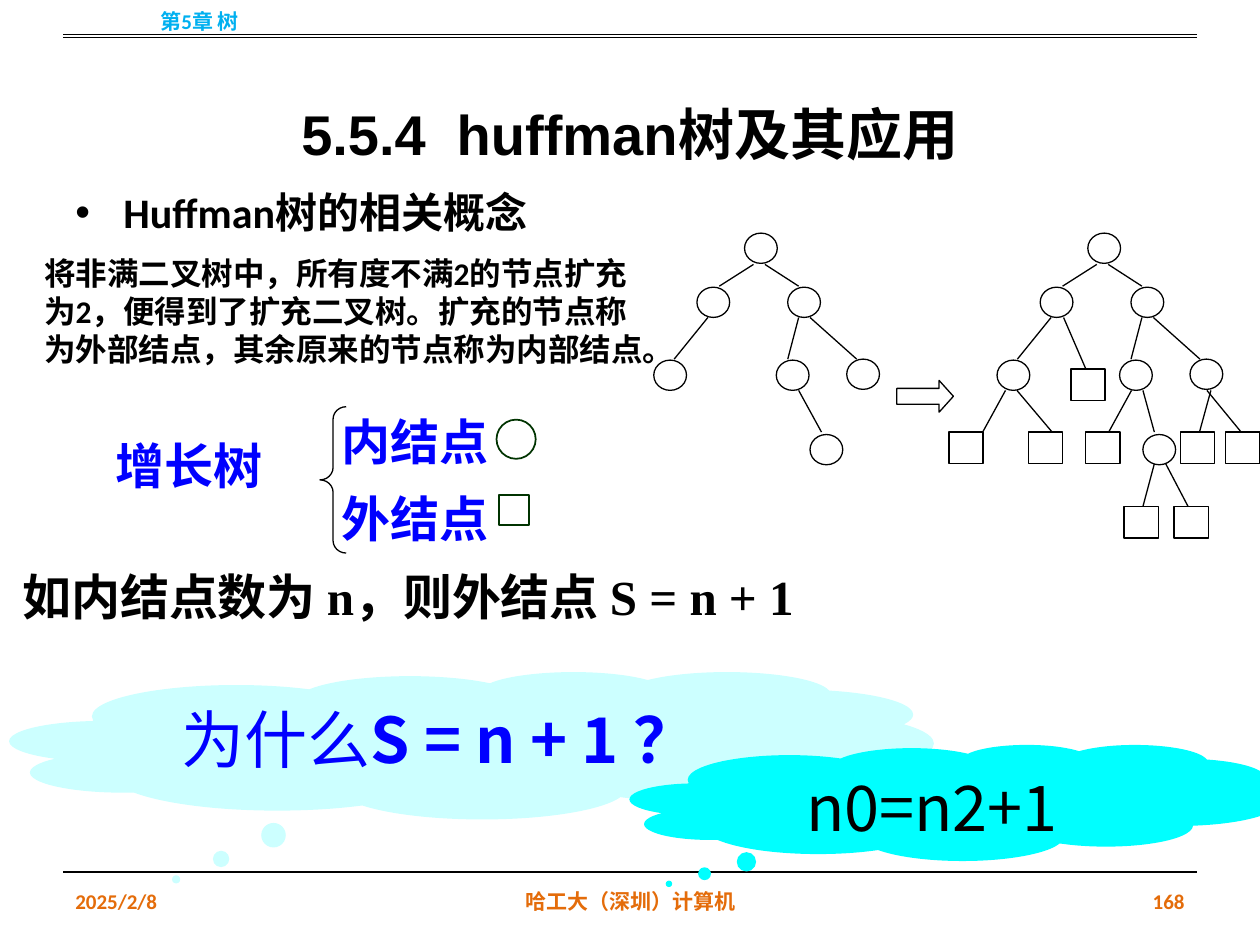
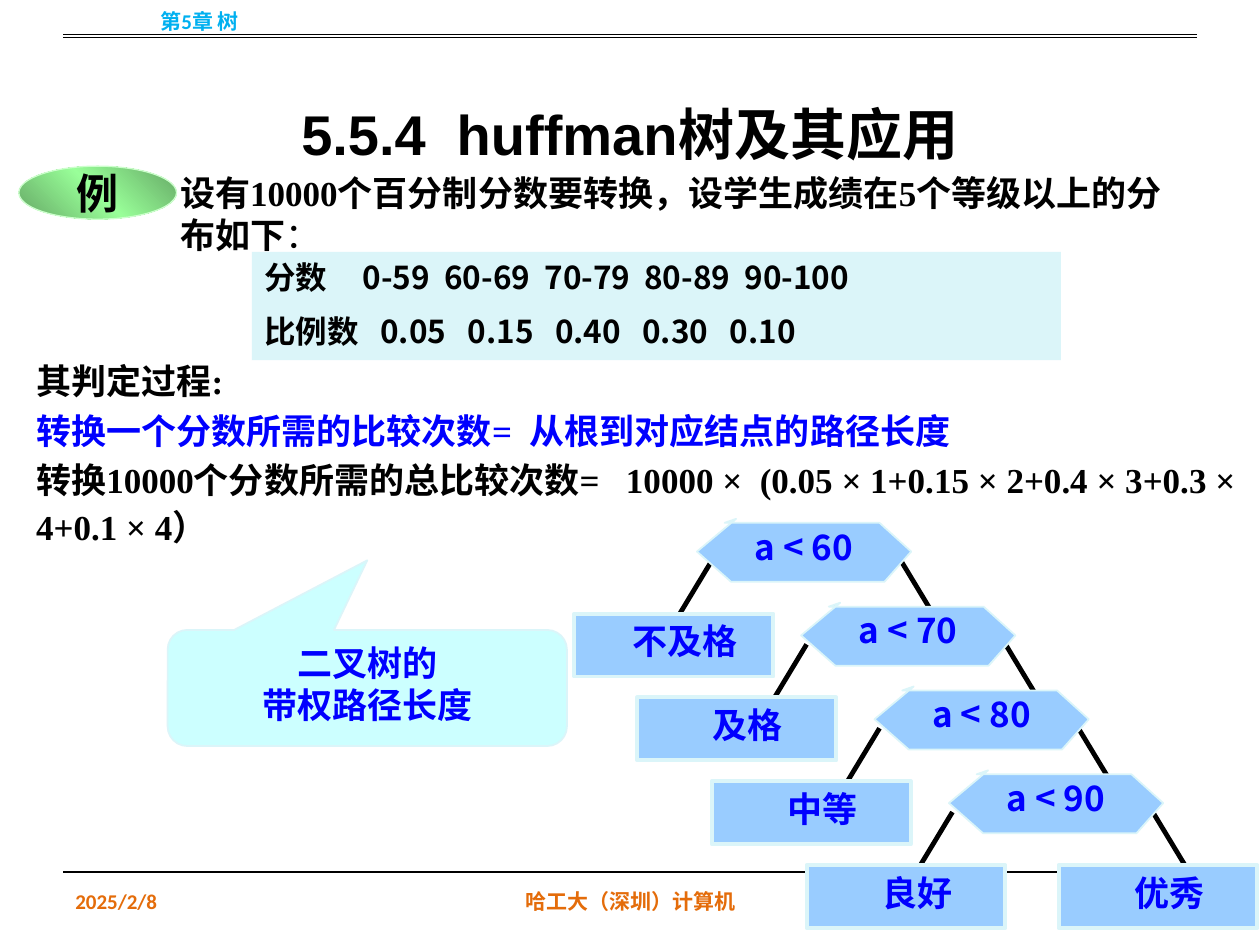
from copy import deepcopy
from lxml.etree import SubElement
from pptx import Presentation
from pptx.dml.color import RGBColor
from pptx.enum.shapes import MSO_CONNECTOR, MSO_SHAPE
from pptx.enum.text import MSO_ANCHOR, PP_ALIGN
from pptx.oxml.ns import qn
from pptx.util import Cm, Pt

C = {
    "black": "000000", "blue": "0000FF", "orange": "E46C0A", "sky": "00B0F0",
    "pale": "CCFFFF", "cyan": "00FFFF", "mist": "DBF5F9", "node": "99CCFF",
    "forest": "003300", "mint": "CCFFCC", "moss": "65A865", "lime": "99FF99",
}
CJK, TIMES, CALIBRI = "Noto Sans CJK SC", "Times New Roman", "Calibri"
LEFT, CENTER, RIGHT = PP_ALIGN.LEFT, PP_ALIGN.CENTER, PP_ALIGN.RIGHT
TOP, MIDDLE = MSO_ANCHOR.TOP, MSO_ANCHOR.MIDDLE


def dress(sp, fill=None, line=None, width=0.75, anchor=TOP):
    sp.shadow.inherit = False
    if fill:
        sp.fill.solid()
        sp.fill.fore_color.rgb = RGBColor.from_string(C[fill])
    else:
        sp.fill.background()
    if line:
        sp.line.color.rgb = RGBColor.from_string(C[line])
        sp.line.width = Pt(width)
    else:
        sp.line.fill.background()
    sp.text_frame.word_wrap = True
    sp.text_frame.vertical_anchor = anchor
    return sp


def para(sp, runs, size, font, color="black", align=LEFT, spacing=1.2, before=0):
    tf = sp.text_frame
    p = tf.add_paragraph() if tf.text else tf.paragraphs[0]
    p.alignment = align
    p.line_spacing = Pt(size * spacing)
    p.space_before = Pt(before)
    for text, bold in runs:
        r = p.add_run()
        r.text = text
        r.font.size = Pt(size)
        r.font.name = font
        r.font.bold = bold
        r.font.color.rgb = RGBColor.from_string(C[color])
        SubElement(r.font._element, qn("a:ea")).set("typeface", CJK)
    return p


prs = Presentation()
prs.slide_width, prs.slide_height = Cm(25.4), Cm(19.05)

rules = [(1.27, y, 24.13, y) for y in (0.69, 0.76, 17.58)]

shift = 6.92
tree_nodes = [(15.01, 4.7), (14.05, 5.79), (15.88, 5.79),
              (13.18, 7.26), (15.65, 7.26), (17.07, 7.24)]
tree_edges = [(15.19, 5.33, 14.5, 5.77), (15.42, 5.33, 16.1, 5.77),
              (14.27, 6.4, 13.59, 7.24), (16.1, 6.4, 15.88, 7.24),
              (16.33, 6.4, 17.27, 7.24)]
inner_nodes = tree_nodes + [(x + shift, y) for x, y in tree_nodes]
inner_nodes += [(16.33, 8.76), (23.04, 8.76)]
outer_nodes = [(x, 8.71) for x in (19.13, 20.73, 21.89, 23.8, 24.71)]
outer_nodes += [(21.59, 7.44), (22.66, 10.21), (23.67, 10.21)]
extended_edges = tree_edges + [(a + shift, b, c + shift, d) for a, b, c, d in tree_edges]
extended_edges += [(16.1, 7.87, 16.56, 8.71), (21.44, 6.4, 21.89, 7.44)]
extended_edges += [(a, 7.87, b, 8.71) for a, b in (
    (20.27, 19.81), (20.5, 21.21), (23.04, 23.27),
    (22.81, 22.35), (24.41, 24.18), (24.33, 25.02))]
extended_edges += [(23.27, 9.35, 23.04, 10.21), (23.5, 9.35, 23.95, 10.21)]

step = 1.69
tests = [("a < 60", 14.05), ("a < 70", 16.15), ("a < 80", 17.63), ("a < 90", 19.13)]
grades = [("不及格", 11.58, 0), ("及格", 12.85, 1), ("中等", 14.35, 2),
          ("良好", 16.26, 3), ("优秀", 21.34, 3)]
decision_edges = []
for i, (left, right) in enumerate([(14.35, 18.16), (16.26, 20.27),
                                   (17.73, 21.74), (19.2, 23.24)]):
    y = 11.3 + step * i
    decision_edges += [(left, y, left - 0.64, y + 1.06), (right, y, right + 0.64, y + 1.06)]

slides = []
for number, edges, width in [("168", extended_edges, 0.75), ("187", decision_edges, 2.75)]:
    s = prs.slides.add_slide(prs.slide_layouts[6])
    slides.append(s)
    for text, box, size, font, color, align, spacing in [
        ("5.5.4  huffman树及其应用", (1.27, 0.76, 22.86, 3.18), 32, "Arial", "black", CENTER, 1.8),
        ("2025/2/8", (1.27, 17.65, 5.92, 1.02), 12, CALIBRI, "orange", LEFT, 1.2),
        ("哈工大（深圳）计算机", (8.69, 17.65, 8.05, 1.02), 12, CALIBRI, "orange", CENTER, 1.2),
        (number, (18.21, 17.65, 5.92, 1.02), 12, CALIBRI, "orange", RIGHT, 1.2),
        ("第5章 树", (0, -0.08, 8.05, 1.02), 12, CALIBRI, "sky", CENTER, 1.2),
    ]:
        sp = dress(s.shapes.add_textbox(*map(Cm, box)), anchor=MIDDLE)
        para(sp, [(text, True)], size, font, color, align, spacing)
    for group, weight in [(rules, 0.75), (edges, width)]:
        for ends in group:
            cxn = s.shapes.add_connector(MSO_CONNECTOR.STRAIGHT, *map(Cm, ends))
            cxn.line.color.rgb = RGBColor.from_string(C["black"])
            cxn.line.width = Pt(weight)
            SubElement(cxn._element.spPr, qn("a:effectLst"))

s = slides[0]
sp = dress(s.shapes.add_textbox(Cm(1.27), Cm(3.38), Cm(22.86), Cm(1.6)))
p = para(sp, [("Huffman树的相关概念", True)], 24, CALIBRI, spacing=1.5)
pPr = p._p.get_or_add_pPr()
pPr.set("marL", str(Cm(0.97)))
pPr.set("indent", str(-Cm(0.97)))
SubElement(pPr, qn("a:buFont")).set("typeface", "Arial")
SubElement(pPr, qn("a:buChar")).set("char", "•")

for kind, spots, w, h in [(MSO_SHAPE.OVAL, inner_nodes, 0.66, 0.61),
                          (MSO_SHAPE.RECTANGLE, outer_nodes, 0.69, 0.64)]:
    for x, y in spots:
        dress(s.shapes.add_shape(kind, Cm(x), Cm(y), Cm(w), Cm(h)), line="black")

for kind, box, adjustments, line, width in [
    (MSO_SHAPE.RIGHT_ARROW, (18.08, 7.67, 1.14, 0.64), (0.5, 0.45), "black", 0.75),
    (MSO_SHAPE.LEFT_BRACE, (6.45, 8.2, 0.53, 2.95), (0.47, 0.5), "black", 0.75),
    (MSO_SHAPE.RECTANGLE, (10.06, 9.98, 0.61, 0.61), (), "forest", 1),
    (MSO_SHAPE.OVAL, (10.01, 8.46, 0.79, 0.79), (), "forest", 1),
]:
    sp = dress(s.shapes.add_shape(kind, *map(Cm, box)), line=line, width=width)
    for i, value in enumerate(adjustments):
        sp.adjustments[i] = value

for texts, box, size, font, color, spacing in [
    (["增长树"], (2.08, 8.66, 3.6, 1.45), 28, TIMES, "blue", 1.2),
    (["内结点", "外结点"], (6.63, 7.82, 3.6, 3.35), 28, TIMES, "blue", 1.56),
    (["如内结点数为 n，则外结点 S = n + 1"], (0.2, 11.3, 16.18, 2.6), 28, TIMES, "black", 1.2),
    (["将非满二叉树中，所有度不满2的节点扩充为2，便得到了扩充二叉树。"
      "扩充的节点称为外部结点，其余原来的节点称为内部结点。"],
     (0.64, 5, 12.7, 2.57), 18, CALIBRI, "black", 1.2),
]:
    sp = dress(s.shapes.add_textbox(*map(Cm, box)))
    for text in texts:
        para(sp, [(text, True)], size, font, color, spacing=spacing)

for runs, box, tail, fill, color in [
    ([("为什么", False), ("S = n + 1 ？", True)],
     (0.2, 13.54, 18.62, 2.97), (-0.32, 0.91), "pale", "blue"),
    ([("n0=n2+1", False)], (12.7, 15.01, 13.11, 2.34), (-0.44, 0.7), "cyan", "black"),
]:
    sp = dress(s.shapes.add_shape(MSO_SHAPE.CLOUD_CALLOUT, *map(Cm, box)), fill)
    sp.adjustments[0], sp.adjustments[1] = tail
    para(sp, runs, 36, CJK, color, CENTER)

s = slides[1]
sp = dress(s.shapes.add_textbox(Cm(0.48), Cm(7.04), Cm(24.69), Cm(4.19)))
for text, color in [
    ("其判定过程:", "black"),
    ("转换一个分数所需的比较次数=  从根到对应结点的路径长度", "blue"),
    ("转换10000个分数所需的总比较次数=   10000 ×  (0.05 × 1+0.15 × 2+0.4 × 3+0.3 × 4+0.1 × 4）",
     "black"),
]:
    para(sp, [(text, True)], 20, TIMES, color, spacing=1.32, before=2)

sp = dress(s.shapes.add_shape(MSO_SHAPE.ROUNDED_RECTANGULAR_CALLOUT,
                              Cm(3.38), Cm(12.7), Cm(8.05), Cm(2.34)), "pale", "mist", 1)
sp.adjustments[0], sp.adjustments[1], sp.adjustments[2] = 0, -1.1, 0.17
for text in ("二叉树的", "带权路径长度"):
    para(sp, [(text, True)], 20, TIMES, "blue", CENTER)

sp = dress(s.shapes.add_shape(MSO_SHAPE.RECTANGLE, Cm(5.08), Cm(5.08), Cm(16.31), Cm(2.18)), "mist")
for cells, stops, before in [
    (("分数", "0-59", "60-69", "70-79", "80-89", "90-100"), (1.98, 3.63, 5.65, 7.66, 9.68), 0),
    (("比例数", "0.05", "0.15", "0.40", "0.30", "0.10"), [2.34 + 1.76 * i for i in range(5)], 9),
]:
    p = para(sp, [("\t".join(cells), True)], 18, CJK, before=before)
    tabs = SubElement(p._p.get_or_add_pPr(), qn("a:tabLst"))
    for stop in stops:
        tab = SubElement(tabs, qn("a:tab"))
        tab.set("pos", str(Cm(stop)))
        tab.set("algn", "l")

sp = dress(s.shapes.add_textbox(Cm(3.38), Cm(3.33), Cm(20.96), Cm(1.96)))
para(sp, [("设有10000个百分制分数要转换，设学生成绩在5个等级以上的分 布如下", True), ("：", False)],
     20, TIMES)

outline = [(0.56, 0.08), (3.68, 0.08), (4.32, 0.66), (3.78, 1.27),
           (0.69, 1.27), (0, 0.66), (0.79, 0)]
for i, (text, x) in enumerate(tests):
    y = 10.46 + step * i
    points = [(Cm(x + dx), Cm(y + dy)) for dx, dy in outline]
    fb = s.shapes.build_freeform(*points[0])
    fb.add_line_segments(points[1:], close=True)
    sp = dress(fb.convert_to_shape(), "node", "mist", 1)
    para(sp, [(text, True)], 20, CJK, "blue", CENTER)

for text, x, level in grades:
    sp = dress(s.shapes.add_shape(MSO_SHAPE.RECTANGLE, Cm(x), Cm(12.37 + step * level),
                                  Cm(4.01), Cm(1.27)), "node", "mist", 2.25)
    sp.text_frame.margin_left = Cm(0.7)
    para(sp, [(text, True)], 20, CJK, "blue", CENTER)

sp = dress(s.shapes.add_shape(MSO_SHAPE.OVAL, Cm(0.38), Cm(3.35), Cm(3.18), Cm(1.07)),
           line="mint", anchor=MIDDLE)
sp.fill.gradient()
sp.fill.gradient_angle = 45
gs_list = sp._element.spPr.find(".//" + qn("a:gsLst"))
gs_list.append(deepcopy(gs_list[0]))
for stop, position, color in zip(sp.fill.gradient_stops, (0, 0.5, 1), ("moss", "lime", "moss")):
    stop.position = position
    stop.color.rgb = RGBColor.from_string(C[color])
sp.text_frame.word_wrap = False
para(sp, [("例", True)], 24, TIMES, align=CENTER)

prs.save("out.pptx")
